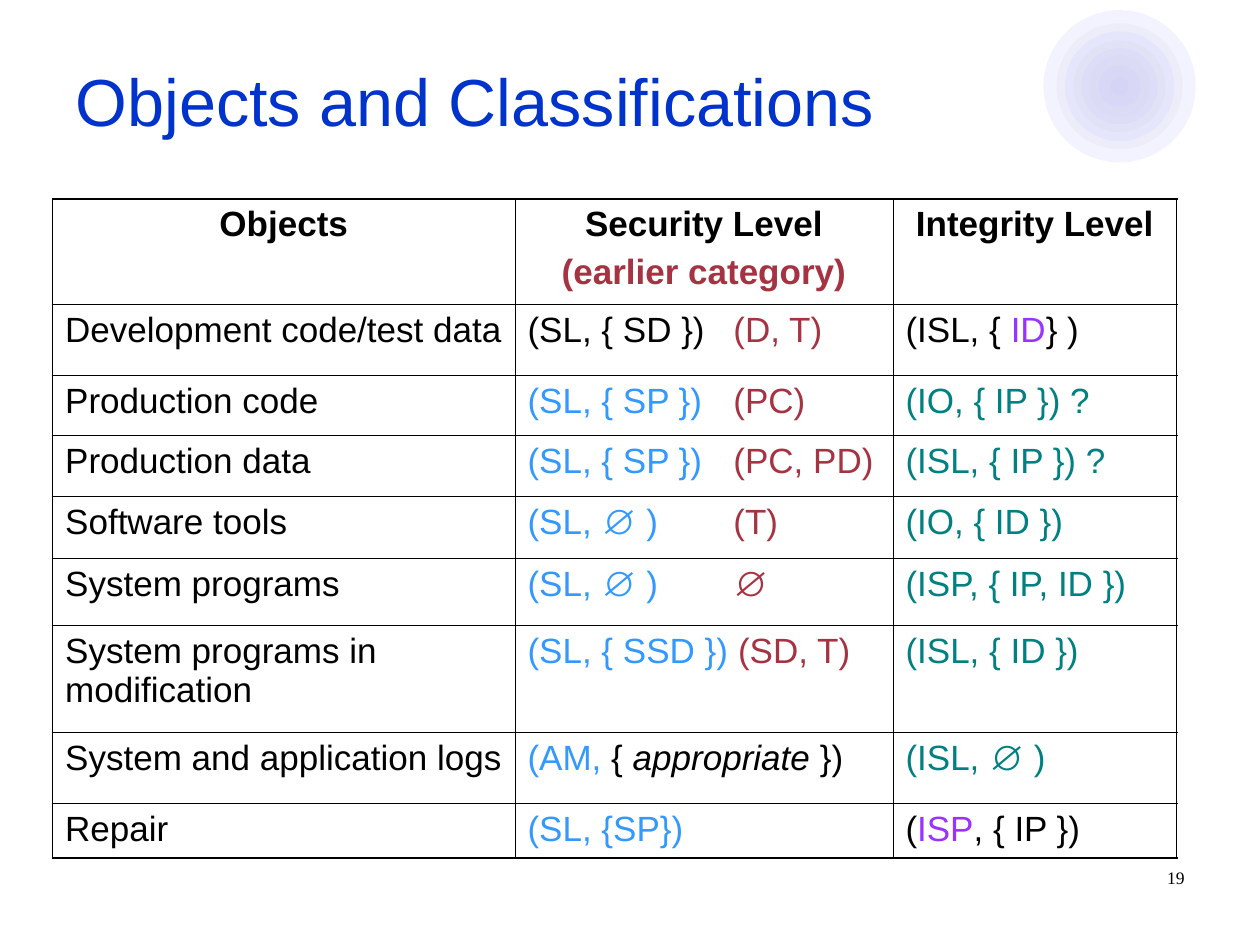
from dataclasses import dataclass

from lxml import etree
from pptx import Presentation
from pptx import util as u
from pptx.dml.color import RGBColor
from pptx.enum import shapes, text
from pptx.oxml import ns

BLACK, RED, BLUE, TEAL, PURPLE = "000000", "A53341", "3399FF", "008080", "9933FF"
TITLE_BLUE = "0033CC"
THIN, THICK = 0.45, 1.08
CATEGORY_TAB = 4.15


@dataclass
class Span:
    words: str
    color: str = BLACK
    italic: bool = False


@dataclass
class Row:
    height: float
    name: str
    security: list[Span]
    integrity: list[Span]


@dataclass
class Disc:
    diameter: float
    color: str


COLUMN_WIDTHS = [9.32, 7.62, 5.72]
HEADER_HEIGHT = 2.12
HEADERS = [
    [Span("Objects")],
    [Span("Security Level"), Span("(earlier category)", RED)],
    [Span("Integrity Level")],
]
ROWS = [
    Row(1.43, "Development code/test data",
        [Span("(SL, { SD })\t"), Span("(D, T)", RED)],
        [Span("(ISL, { "), Span("ID", PURPLE), Span("} )")]),
    Row(1.21, "Production code",
        [Span("(SL, { SP })\t", BLUE), Span("(PC)", RED)],
        [Span("(IO, { IP }) ?", TEAL)]),
    Row(1.23, "Production data",
        [Span("(SL, { SP })\t", BLUE), Span("(PC, PD)", RED)],
        [Span("(ISL, { IP }) ?", TEAL)]),
    Row(1.25, "Software tools",
        [Span("(SL, ∅ )\t", BLUE), Span("(T)", RED)],
        [Span("(IO, { ID })", TEAL)]),
    Row(1.35, "System programs",
        [Span("(SL, ∅ )\t", BLUE), Span("∅", RED)],
        [Span("(ISP, { IP, ID })", TEAL)]),
    Row(2.16, "System programs in modification",
        [Span("(SL, { SSD }) ", BLUE), Span("(SD, T)", RED)],
        [Span("(ISL, { ID })", TEAL)]),
    Row(1.43, "System and application logs",
        [Span("(AM,", BLUE), Span(" { "), Span("appropriate", italic=True), Span(" })")],
        [Span("(ISL, ∅ )", TEAL)]),
    Row(1.1, "Repair",
        [Span("(SL, {SP})", BLUE)],
        [Span("("), Span("ISP", PURPLE), Span(", { IP })")]),
]
DISCS = [
    Disc(diameter, "D9D8EC" if index % 2 else "CCCCFF")
    for index, diameter in enumerate([3.07, 2.54, 2.21, 1.85, 1.54, 1.24, 0.84, 0.58, 0.36])
]


def paint(target, color: str) -> None:
    target.rgb = RGBColor.from_string(color)


def apply(target, formats: dict) -> None:
    for name, value in formats.items():
        setattr(target, name, value)


def write(para, span: Span, size: float, font: str = "Arial", bold: bool = False) -> None:
    run = para.add_run()
    run.text = span.words
    apply(run.font, {"name": font, "size": u.Pt(size), "bold": bold, "italic": span.italic})
    paint(run.font.color, span.color)


def add_tab(para, position: float) -> None:
    stops = etree.SubElement(para._p.get_or_add_pPr(), ns.qn("a:tabLst"))
    etree.SubElement(stops, ns.qn("a:tab"), pos=str(u.Cm(position)), algn="l")


def draw_borders(cell, widths: dict[str, float]) -> None:
    properties = cell._tc.get_or_add_tcPr()
    for index, (side, width) in enumerate(widths.items()):
        line = etree.Element(ns.qn(f"a:ln{side}"), w=str(u.Pt(width)))
        fill = etree.SubElement(line, ns.qn("a:solidFill"))
        etree.SubElement(fill, ns.qn("a:srgbClr"), val=BLACK)
        properties.insert(index, line)


def draw_disc(page, disc: Disc, center_x: float, center_y: float) -> None:
    radius = disc.diameter / 2
    shape = page.shapes.add_shape(
        shapes.MSO_SHAPE.OVAL, u.Cm(center_x - radius), u.Cm(center_y - radius),
        u.Cm(disc.diameter), u.Cm(disc.diameter))
    shape.shadow.inherit = False
    shape.line.fill.background()
    shape.fill.solid()
    paint(shape.fill.fore_color, disc.color)
    color = shape._element.spPr.find(".//" + ns.qn("a:srgbClr"))
    etree.SubElement(color, ns.qn("a:alpha"), val="22000")


def draw_title(page, words: str) -> None:
    title = page.shapes.title
    apply(title, {"left": u.Cm(1.27), "top": u.Cm(0.43),
                  "width": u.Cm(22.86), "height": u.Cm(3.18)})
    apply(title.text_frame, {"auto_size": text.MSO_AUTO_SIZE.NONE, "word_wrap": True,
                             "vertical_anchor": text.MSO_ANCHOR.MIDDLE})
    para = title.text_frame.paragraphs[0]
    para.alignment = text.PP_ALIGN.LEFT
    write(para, Span(words, TITLE_BLUE), 38)


def fill_cell(cell, lines: list[list[Span]], heading: bool) -> None:
    cell.fill.background()
    for index, spans in enumerate(lines):
        para = cell.text_frame.add_paragraph() if index else cell.text_frame.paragraphs[0]
        apply(para, {"alignment": text.PP_ALIGN.CENTER if heading else text.PP_ALIGN.LEFT,
                     "space_before": u.Pt(5)})
        if any("\t" in span.words for span in spans):
            add_tab(para, CATEGORY_TAB)
        for span in spans:
            write(para, span, 20, bold=heading)


def draw_table(page) -> None:
    contents = [[[[span] for span in header] for header in HEADERS]]
    contents += [[[[Span(row.name)]], [row.security], [row.integrity]] for row in ROWS]
    heights = [HEADER_HEIGHT] + [row.height for row in ROWS]
    table = page.shapes.add_table(
        len(heights), len(COLUMN_WIDTHS), u.Cm(1.06), u.Cm(4.01),
        u.Cm(sum(COLUMN_WIDTHS)), u.Cm(sum(heights))).table
    apply(table, {"first_row": False, "horz_banding": False})
    for column, width in zip(table.columns, COLUMN_WIDTHS):
        column.width = u.Cm(width)
    last_row, last_column = len(heights) - 1, len(COLUMN_WIDTHS) - 1
    for r, height in enumerate(heights):
        table.rows[r].height = u.Cm(height)
        for c, lines in enumerate(contents[r]):
            cell = table.cell(r, c)
            fill_cell(cell, lines, heading=r == 0)
            outer = {"L": c == 0, "R": c == last_column, "T": r == 0, "B": r == last_row}
            draw_borders(cell, {side: THICK if edge else THIN for side, edge in outer.items()})


def draw_page_number(page, number: str) -> None:
    box = page.shapes.add_textbox(u.Cm(18.21), u.Cm(17.35), u.Cm(5.92), u.Cm(1.27))
    box.text_frame.word_wrap = True
    para = box.text_frame.paragraphs[0]
    para.alignment = text.PP_ALIGN.RIGHT
    write(para, Span(number), 10, font="Times New Roman")


def main() -> None:
    deck = Presentation()
    apply(deck, {"slide_width": u.Cm(25.4), "slide_height": u.Cm(19.05)})
    page = deck.slides.add_slide(deck.slide_layouts.get_by_name("Title Only"))
    for disc in DISCS:
        draw_disc(page, disc, 22.57, 1.74)
    draw_title(page, "Objects and Classifications")
    draw_table(page)
    draw_page_number(page, "19")
    deck.save("out.pptx")


if __name__ == "__main__":
    main()
